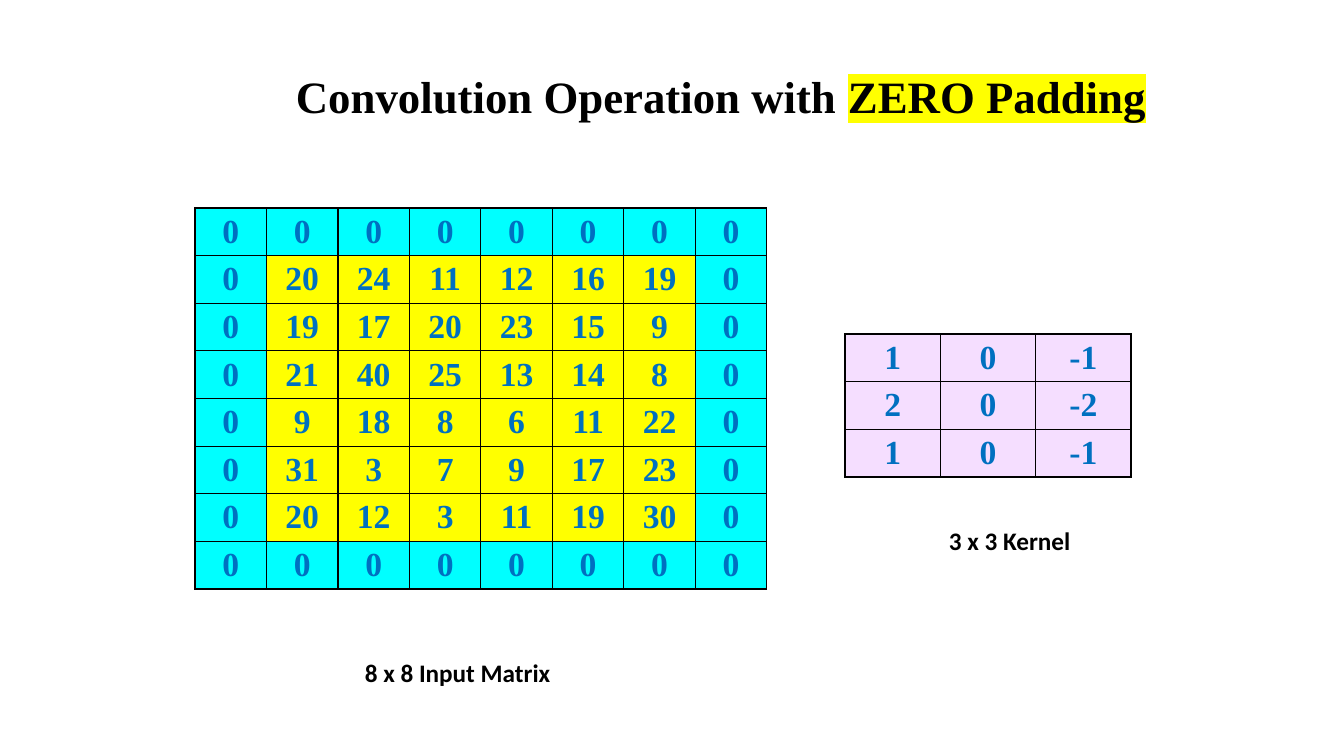
"""Build a slide on convolution with zero padding."""
import pptx
import pptx.dml.color
import pptx.enum.text
import pptx.oxml
import pptx.oxml.ns
import pptx.util

SLIDE_SIZE = (1344, 756)
EMU_PER_PX = 914400 / 100.8
SERIF = "Times New Roman"
SANS = "Calibri"
BLACK, BLUE, CYAN, YELLOW, LILAC = "000000", "0070C0", "00FFFF", "FFFF00", "E8B4FF"

IMAGE = [
    [20, 24, 11, 12, 16, 19],
    [19, 17, 20, 23, 15, 9],
    [21, 40, 25, 13, 14, 8],
    [9, 18, 8, 6, 11, 22],
    [31, 3, 7, 9, 17, 23],
    [20, 12, 3, 11, 19, 30],
]
KERNEL = [[1, 0, -1], [2, 0, -2], [1, 0, -1]]
MATRIX_PLACE = (195, 208, 572, 381)
KERNEL_PLACE = (845, 334, 286, 143)

TEXTS = [
    ((355, 652, 208, 41), False, SANS, 18, [("8 x 8 Input Matrix", None)]),
    ((939, 520, 143, 41), False, SANS, 18, [("3 x 3 Kernel", None)]),
    ((286, 64, 871, 65), True, SERIF, 32,
     [("Convolution Operation with ", None), ("ZERO Padding", YELLOW)]),
]


def px(length):
    return pptx.util.Emu(round(length * EMU_PER_PX))


def color(value):
    return pptx.dml.color.RGBColor.from_string(value)


def element(xml):
    return pptx.oxml.parse_xml(xml.replace(">", f" {pptx.oxml.ns.nsdecls('a')}>", 1))


def add_run(para, text, font_name, size, text_color, highlight=None):
    span = para.add_run()
    span.text = text
    span.font.name = font_name
    span.font.size = pptx.util.Pt(size)
    span.font.bold = True
    span.font.color.rgb = color(text_color)
    if highlight:
        fill = span.font._element.find(pptx.oxml.ns.qn("a:solidFill"))
        fill.addnext(element(f'<a:highlight><a:srgbClr val="{highlight}"/></a:highlight>'))


def style_cell(cell, fill_color, alpha):
    properties = cell._tc.get_or_add_tcPr()
    for side in "LRTB":
        properties.append(element(
            f'<a:ln{side} w="12700"><a:solidFill><a:srgbClr val="{BLACK}"/>'
            f'</a:solidFill></a:ln{side}>'))
    cell.fill.solid()
    cell.fill.fore_color.rgb = color(fill_color)
    if alpha < 100:
        shade = properties.find(pptx.oxml.ns.qn("a:solidFill"))[0]
        shade.append(element(f'<a:alpha val="{alpha * 1000}"></a:alpha>'))
    cell.vertical_anchor = pptx.enum.text.MSO_ANCHOR.MIDDLE
    cell.margin_top = cell.margin_bottom = 0


def add_matrix(page, place, values, fill_at, alpha=100):
    left, top, width, height = place
    rows, columns = len(values), len(values[0])
    table = page.shapes.add_table(rows, columns, px(left), px(top), px(width), px(height)).table
    table.first_row = table.horz_banding = False
    for column in table.columns:
        column.width = px(width / columns)
    for r, row in enumerate(values):
        table.rows[r].height = px(height / rows)
        for c, value in enumerate(row):
            cell = table.cell(r, c)
            style_cell(cell, fill_at(r, c), alpha)
            para = cell.text_frame.paragraphs[0]
            para.alignment = pptx.enum.text.PP_ALIGN.CENTER
            add_run(para, str(value), SERIF, 24, BLUE)


def add_text(page, place, wrap, font_name, size, spans):
    frame = page.shapes.add_textbox(*map(px, place)).text_frame
    frame.word_wrap = wrap
    frame.auto_size = pptx.enum.text.MSO_AUTO_SIZE.SHAPE_TO_FIT_TEXT
    for text, highlight in spans:
        add_run(frame.paragraphs[0], text, font_name, size, BLACK, highlight)


def main():
    deck = pptx.Presentation()
    deck.slide_width, deck.slide_height = map(px, SLIDE_SIZE)
    page = deck.slides.add_slide(deck.slide_layouts[6])

    last = len(IMAGE) + 1
    zeros = [0] * (last + 1)
    padded = [zeros] + [[0, *row, 0] for row in IMAGE] + [zeros]
    add_matrix(page, MATRIX_PLACE, padded,
               lambda r, c: CYAN if {r, c} & {0, last} else YELLOW)
    add_matrix(page, KERNEL_PLACE, KERNEL, lambda r, c: LILAC, alpha=43)
    for text in TEXTS:
        add_text(page, *text)
    deck.save("out.pptx")


if __name__ == "__main__":
    main()
